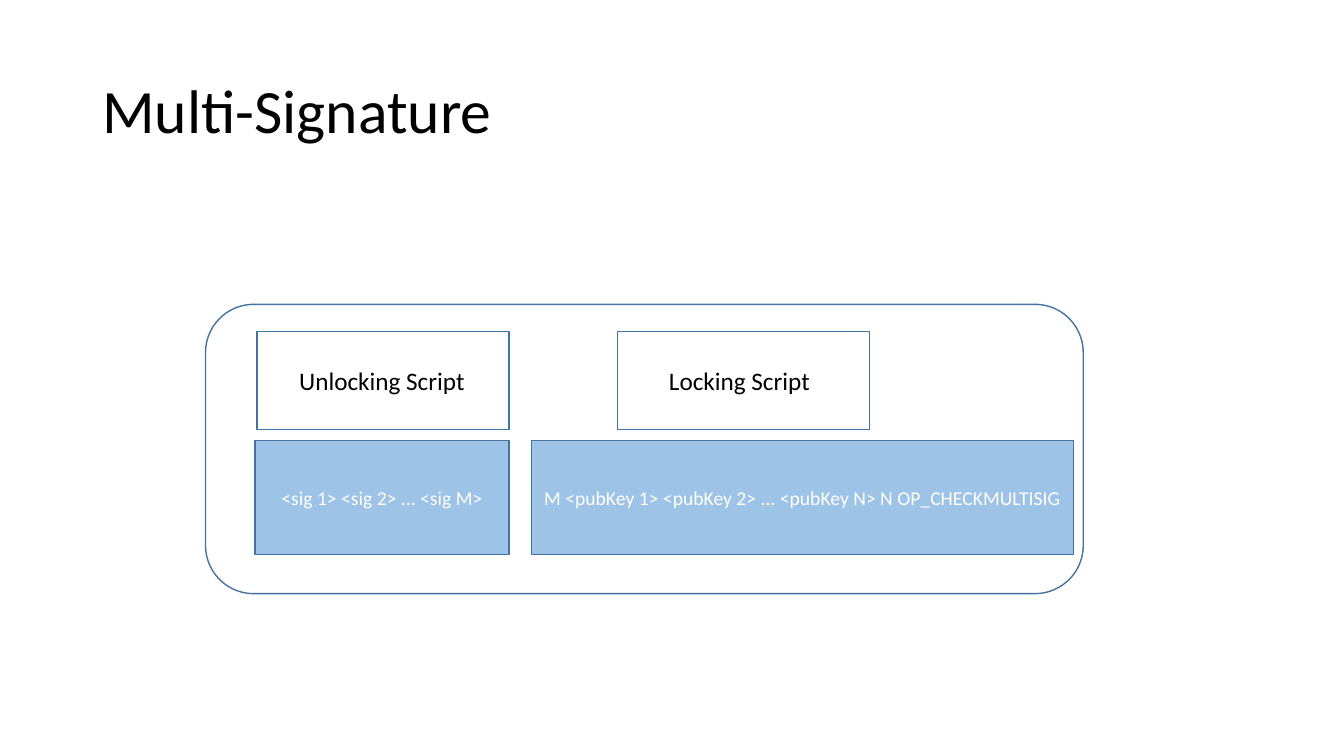
from pptx import Presentation
from pptx.dml.color import RGBColor
from pptx.enum.shapes import MSO_SHAPE
from pptx.enum.text import MSO_ANCHOR, PP_ALIGN
from pptx.util import Cm, Pt

BLACK = RGBColor(0x00, 0x00, 0x00)
WHITE = RGBColor(0xFF, 0xFF, 0xFF)
LIGHT_BLUE = RGBColor(0x9D, 0xC3, 0xE6)
OUTLINE = RGBColor(0x43, 0x73, 0x9E)


class ScriptSlide:
    """Draws the slide's elements in one shared style; lengths are in cm."""

    font_name = "Calibri"

    def __init__(self, slide):
        self.slide = slide

    def set_words(self, frame, words, size, color, anchor, align):
        frame.word_wrap = True
        frame.vertical_anchor = anchor
        frame.text = words
        paragraph = frame.paragraphs[0]
        paragraph.alignment = align
        font = paragraph.runs[0].font
        font.name = self.font_name
        font.size = Pt(size)
        font.color.rgb = color
        return paragraph

    def label(self, words, left, top, width, height, size=18, anchor=MSO_ANCHOR.TOP):
        box = self.slide.shapes.add_textbox(Cm(left), Cm(top), Cm(width), Cm(height))
        return self.set_words(box.text_frame, words, size, BLACK, anchor, PP_ALIGN.LEFT)

    def panel(self, left, top, width, height, fill=WHITE, kind=MSO_SHAPE.RECTANGLE):
        panel = self.slide.shapes.add_shape(kind, Cm(left), Cm(top), Cm(width), Cm(height))
        panel.shadow.inherit = False
        panel.fill.solid()
        panel.fill.fore_color.rgb = fill
        panel.line.color.rgb = OUTLINE
        panel.line.width = Pt(1)
        return panel

    def script(self, words, left, width):
        panel = self.panel(left, 11.1, width, 2.87, LIGHT_BLUE)
        self.set_words(panel.text_frame, words, 14, WHITE, MSO_ANCHOR.MIDDLE, PP_ALIGN.CENTER)


def main():
    presentation = Presentation()
    presentation.slide_width = Cm(33.87)
    presentation.slide_height = Cm(19.05)
    page = ScriptSlide(presentation.slides.add_slide(presentation.slide_layouts[6]))

    title = page.label("Multi-Signature", 2.33, 1.02, 29.21, 3.68, 44, MSO_ANCHOR.MIDDLE)
    title.line_spacing = 0.9

    page.panel(5.18, 7.67, 22.12, 7.29, kind=MSO_SHAPE.ROUNDED_RECTANGLE)
    for heading_left in (6.48, 15.57):
        page.panel(heading_left, 8.36, 6.35, 2.46)
    page.label("Unlocking Script", 7.29, 9.09, 4.8, 1.02)
    page.label("Locking Script", 16.61, 9.09, 4.27, 1.02)

    page.script("<sig 1> <sig 2> ... <sig M>", 6.43, 6.4)
    page.script("M <pubKey 1> <pubKey 2> ... <pubKey N> N OP_CHECKMULTISIG", 13.39, 13.67)

    presentation.save("out.pptx")


if __name__ == "__main__":
    main()
